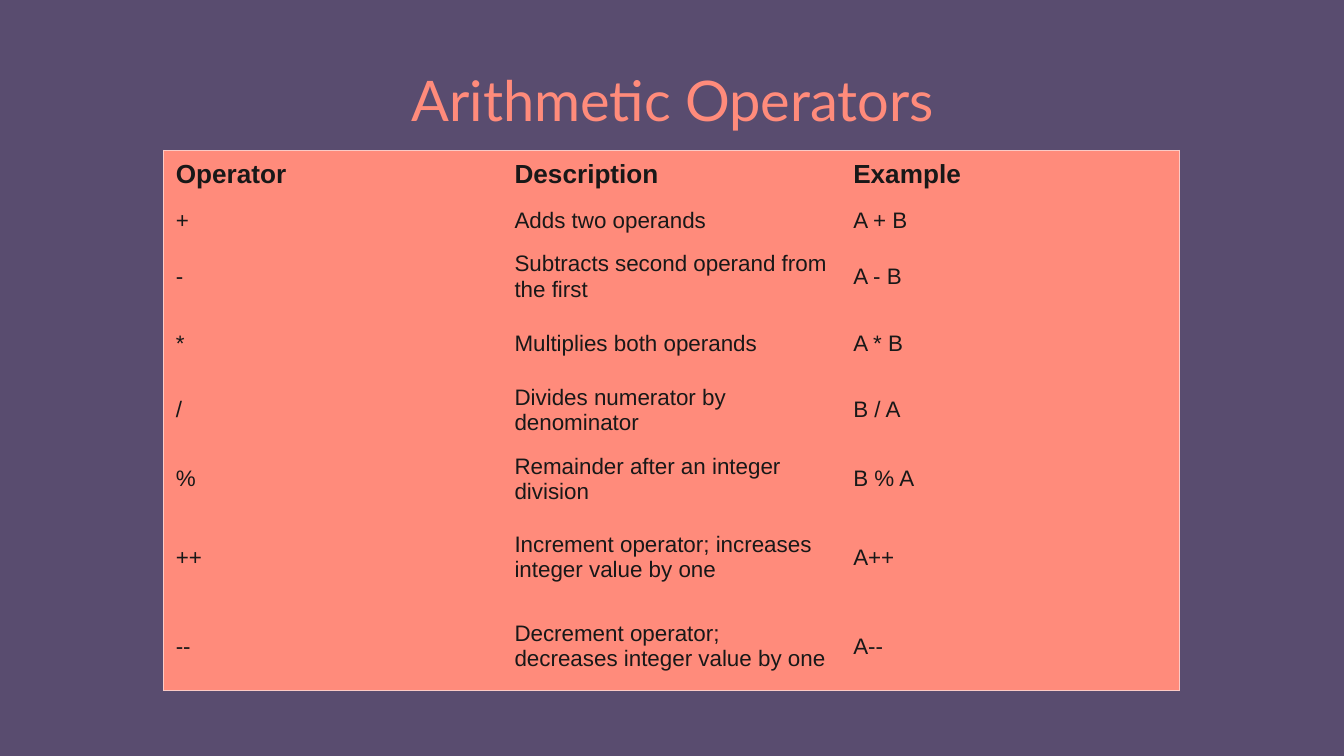
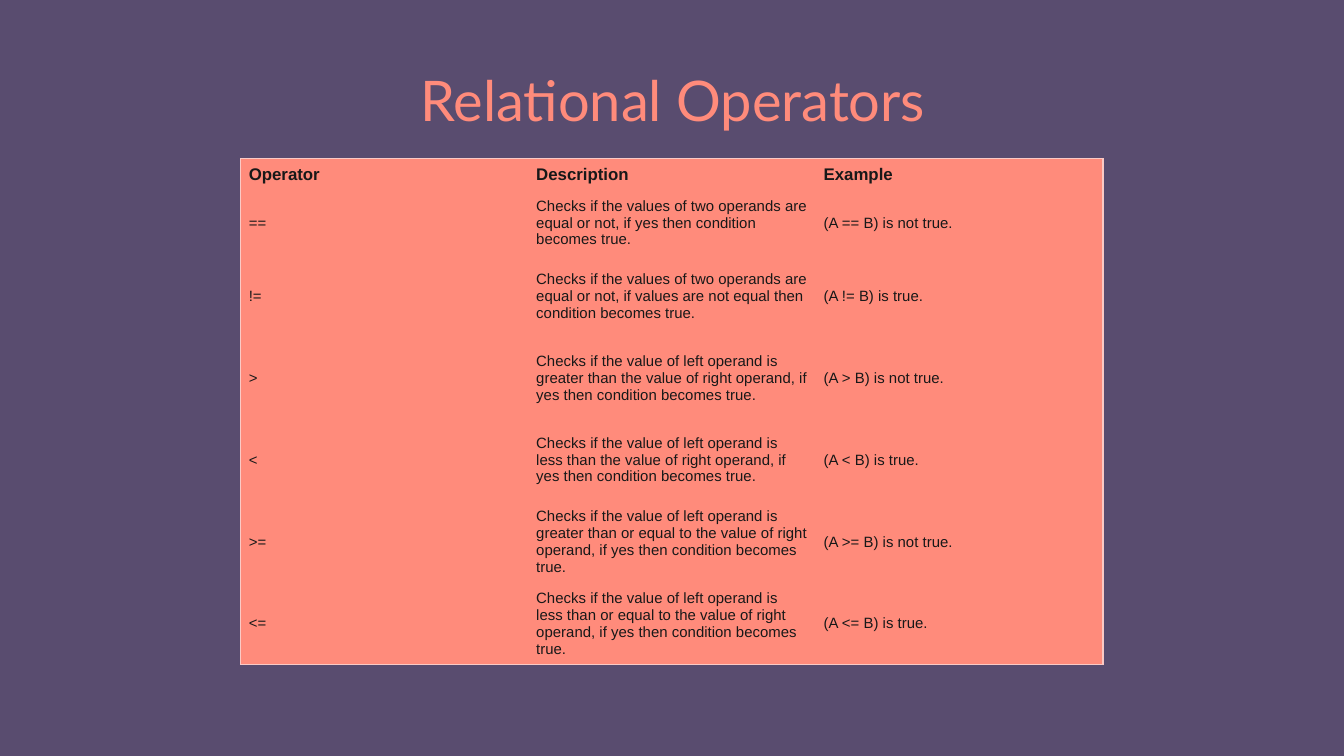
"""Build two slides with tables of arithmetic and relational operators."""
from dataclasses import dataclass

import lxml.etree
import pptx
import pptx.dml.color
import pptx.enum.text
import pptx.oxml.ns
import pptx.util
from pptx.util import Pt

BACKGROUND = "594C6F"
CORAL = "FF8B7B"
BORDER = "FBCAC5"
INK = "181818"
TITLE_FONT = "Lato"
TABLE_FONT = "Arial"
PLAIN_TABLE_STYLE = "{2D5ABB26-0587-4C30-8999-92F81FD0307C}"
HEADER = ("Operator", "Description", "Example")


@dataclass(frozen=True)
class OperatorTable:
    title: str
    left: float
    top: float
    height: float
    column_width: float
    row_heights: tuple[float, ...]
    header_size: float
    body_size: float
    side_margin: float
    end_margin: float
    rows: tuple[tuple[str, str, str], ...]


ARITHMETIC = OperatorTable(
    title="Arithmetic Operators",
    left=87.6, top=80.6, height=298.8, column_width=181.5,
    row_heights=(21.6,) * 2 + (34.56,) * 4 + (47.5,) * 2,
    header_size=14, body_size=12, side_margin=6.6, end_margin=5,
    rows=(
        ("+", "Adds two operands", "A + B"),
        ("-", "Subtracts second operand from the first", "A - B"),
        ("*", "Multiplies both operands", "A * B"),
        ("/", "Divides numerator by denominator", "B / A"),
        ("%", "Remainder after an integer division", "B % A"),
        ("++", "Increment operator; increases integer value by one", "A++"),
        ("--", "Decrement operator; decreases integer value by one", "A--"),
    ),
)

RELATIONAL = OperatorTable(
    title="Relational Operators",
    left=129, top=85, height=274.3, column_width=154,
    row_heights=(15.84, 34.56) + (43.9,) * 5,
    header_size=9, body_size=8, side_margin=4.3, end_margin=3.5,
    rows=(
        ("==", "Checks if the values of two operands are equal or not, "
         "if yes then condition becomes true.", "(A == B) is not true."),
        ("!=", "Checks if the values of two operands are equal or not, "
         "if values are not equal then condition becomes true.", "(A != B) is true."),
        (">", "Checks if the value of left operand is greater than the value "
         "of right operand, if yes then condition becomes true.", "(A > B) is not true."),
        ("<", "Checks if the value of left operand is less than the value "
         "of right operand, if yes then condition becomes true.", "(A < B) is true."),
        (">=", "Checks if the value of left operand is greater than or equal to the value "
         "of right operand, if yes then condition becomes true.", "(A >= B) is not true."),
        ("<=", "Checks if the value of left operand is less than or equal to the value "
         "of right operand, if yes then condition becomes true.", "(A <= B) is true."),
    ),
)


def paint(fill: pptx.dml.fill.FillFormat, color: str) -> None:
    fill.solid()
    fill.fore_color.rgb = pptx.dml.color.RGBColor.from_string(color)


def format_text(
    text_frame: pptx.text.text.TextFrame, font: str, size: float, color: str, bold: bool = False
) -> None:
    for paragraph in text_frame.paragraphs:
        for run in paragraph.runs:
            run.font.name = font
            run.font.size = Pt(size)
            run.font.bold = bold
            paint(run.font.fill, color)


def add_border(cell: pptx.table._Cell, side: str) -> None:
    qualified = pptx.oxml.ns.qn
    properties = cell._tc.get_or_add_tcPr()
    line = lxml.etree.SubElement(properties, qualified(f"a:ln{side}"), w=str(Pt(0.75)))
    fill = lxml.etree.SubElement(line, qualified("a:solidFill"))
    lxml.etree.SubElement(fill, qualified("a:srgbClr"), val=BORDER)


def add_title(slide: pptx.slide.Slide, text: str) -> None:
    title = slide.shapes.title
    title.left, title.top, title.width, title.height = Pt(56), Pt(28), Pt(609), Pt(45.5)
    text_frame = title.text_frame
    text_frame.text = text
    text_frame.auto_size = pptx.enum.text.MSO_AUTO_SIZE.NONE
    text_frame.vertical_anchor = pptx.enum.text.MSO_ANCHOR.TOP
    text_frame.margin_left = text_frame.margin_right = Pt(7.2)
    text_frame.margin_top = text_frame.margin_bottom = Pt(7.2)
    text_frame.paragraphs[0].alignment = pptx.enum.text.PP_ALIGN.CENTER
    format_text(text_frame, TITLE_FONT, 30, CORAL)


def add_operator_table(slide: pptx.slide.Slide, content: OperatorTable) -> None:
    texts = (HEADER, *content.rows)
    last_row, last_column = len(texts) - 1, len(HEADER) - 1
    frame = slide.shapes.add_table(
        len(texts), len(HEADER), Pt(content.left), Pt(content.top),
        Pt(content.column_width * len(HEADER)), Pt(content.height),
    )
    table = frame.table
    table.horz_banding = False
    table._tbl.tblPr.find(pptx.oxml.ns.qn("a:tableStyleId")).text = PLAIN_TABLE_STYLE
    for column in table.columns:
        column.width = Pt(content.column_width)
    for row, height in zip(table.rows, content.row_heights):
        row.height = Pt(height)
    frame.height = Pt(content.height)

    for row_index, row_texts in enumerate(texts):
        is_header = row_index == 0
        size = content.header_size if is_header else content.body_size
        for column_index, text in enumerate(row_texts):
            cell = table.cell(row_index, column_index)
            cell.text_frame.text = text
            cell.vertical_anchor = pptx.enum.text.MSO_ANCHOR.MIDDLE
            cell.margin_left = cell.margin_right = Pt(content.side_margin)
            cell.margin_top = cell.margin_bottom = Pt(content.end_margin)
            format_text(cell.text_frame, TABLE_FONT, size, INK, is_header)
            outer_sides = {
                "L": column_index == 0,
                "R": column_index == last_column,
                "T": is_header,
                "B": row_index == last_row,
            }
            for side, is_outer in outer_sides.items():
                if is_outer:
                    add_border(cell, side)
            paint(cell.fill, CORAL)


def main() -> None:
    presentation = pptx.Presentation()
    presentation.slide_width, presentation.slide_height = Pt(720), Pt(405)
    paint(presentation.slide_master.background.fill, BACKGROUND)
    title_only = presentation.slide_layouts.get_by_name("Title Only")
    for content in (ARITHMETIC, RELATIONAL):
        slide = presentation.slides.add_slide(title_only)
        add_title(slide, content.title)
        add_operator_table(slide, content)
    presentation.save("out.pptx")


if __name__ == "__main__":
    main()
